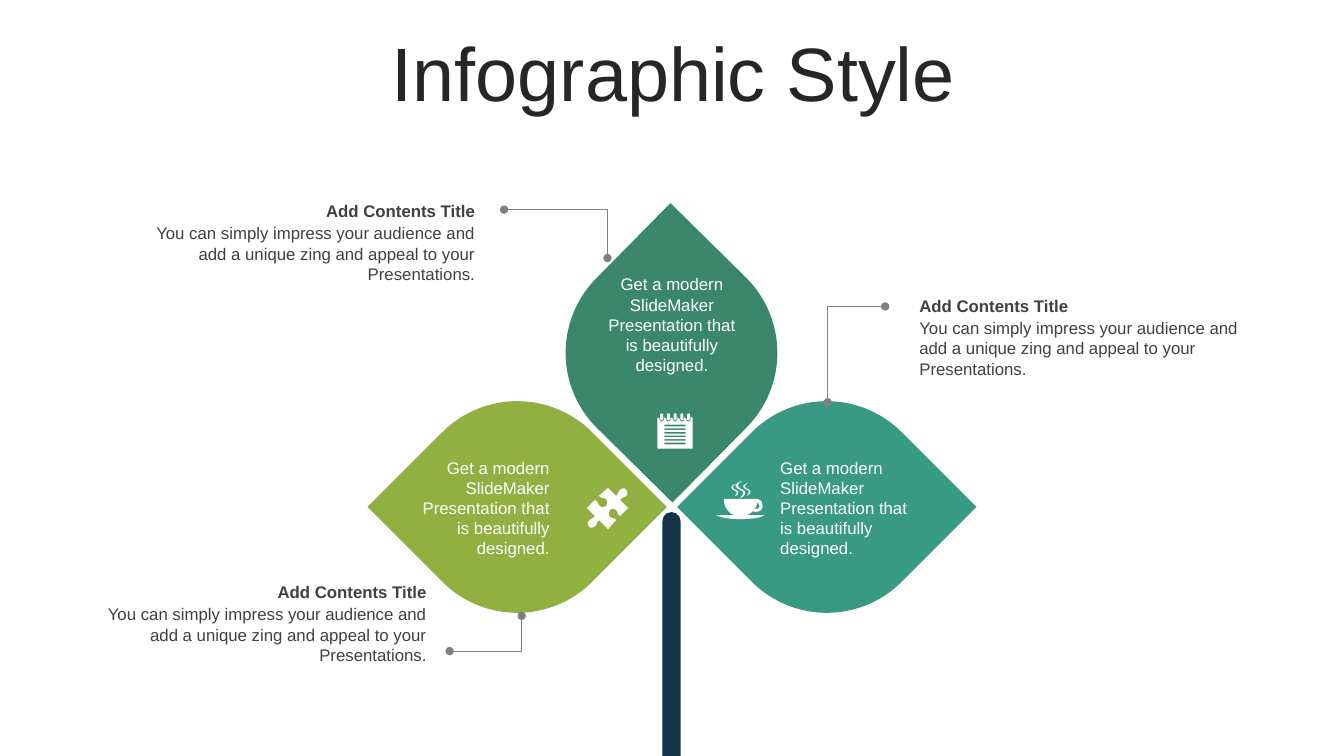
import math
from lxml import etree
from pptx import Presentation
from pptx import util as u
from pptx.dml.color import RGBColor
from pptx.enum import shapes, text
from pptx.oxml.ns import qn

# Grid: 1333 columns by 750 rows
COLS, ROWS = 1333, 750
CELL = u.Inches(0.01)

WHITE = RGBColor(0xFF, 0xFF, 0xFF)
INK = RGBColor(0x26, 0x26, 0x26)
TEXT = RGBColor(0x40, 0x40, 0x40)
GRAY = RGBColor(0x80, 0x80, 0x80)
PINE = RGBColor(0x3A, 0x87, 0x6B)
TEAL = RGBColor(0x39, 0x9A, 0x84)
LIME = RGBColor(0x90, 0xB1, 0x41)
NAVY = RGBColor(0x13, 0x32, 0x46)

LEFT, MID, RIGHT = (text.PP_ALIGN.LEFT, text.PP_ALIGN.CENTER,
                    text.PP_ALIGN.RIGHT)
KIND = shapes.MSO_SHAPE


def grid(*vals):
    return [round(v * CELL) for v in vals]


def apply(item, vals):
    for name, val in vals.items():
        setattr(item, name, val)


def trace(nodes):
    """Points of an outline: a pair is a corner, six numbers are a curve."""
    pts = [nodes[0]]
    for node in nodes[1:]:
        if len(node) == 2:
            pts.append(node)
            continue
        a, b, c, d = pts[-1], node[:2], node[2:4], node[4:]
        for t in (n / 8 for n in range(1, 9)):
            s = 1 - t
            pts.append(tuple(
                s**3 * a[i] + 3 * s * s * t * b[i] + 3 * s * t * t * c[i]
                + t**3 * d[i] for i in (0, 1)))
    return pts


def arc(x, y, rx, ry, start, end, steps=16):
    turns = [math.radians(start + (end - start) * n / steps)
             for n in range(steps + 1)]
    return [(x + rx * math.cos(a), y + ry * math.sin(a)) for a in turns]


class Board:
    font = {"name": "Arial", "size": u.Pt(12), "bold": False}

    def __init__(self, slide):
        self.slide = slide
        self.items = slide.shapes

    def fill_in(self, frame, words, color, align, **more):
        para = frame.paragraphs[0]
        para.text = words
        para.alignment = align
        apply(para.font, {**self.font, **more})
        para.font.color.rgb = color
        return para

    def title(self, words, box):
        head = self.items.title
        apply(head, dict(zip(("left", "top", "width", "height"), grid(*box))))
        apply(head.text_frame, {"auto_size": text.MSO_AUTO_SIZE.NONE,
                                "vertical_anchor": text.MSO_ANCHOR.MIDDLE,
                                "word_wrap": True})
        para = self.fill_in(head.text_frame, words, INK, MID, size=u.Pt(54))
        para.line_spacing = 0.9

    def label(self, words, box, color, align, **more):
        frame = self.items.add_textbox(*grid(*box)).text_frame
        apply(frame, {"word_wrap": True,
                      "auto_size": text.MSO_AUTO_SIZE.SHAPE_TO_FIT_TEXT})
        self.fill_in(frame, words, color, align, **more)

    def paint(self, item, color):
        item.shadow.inherit = False
        item.fill.solid()
        item.fill.fore_color.rgb = color
        item.line.fill.background()

    def shape(self, kind, box, color, turn=0):
        item = self.items.add_shape(kind, *grid(*box))
        item.adjustments[0], item.adjustments[1] = 0.5, 0
        item.rotation = turn
        self.paint(item, color)

    def icon(self, loops):
        loops = [[tuple(grid(*pt)) for pt in loop] for loop in loops]
        pen = self.items.build_freeform(*loops[0][0])
        for n, loop in enumerate(loops):
            if n:
                pen.move_to(*loop[0])
            pen.add_line_segments(loop[1:], close=True)
        self.paint(pen.convert_to_shape(), WHITE)

    def elbow(self, start, end):
        link = self.items.add_connector(
            shapes.MSO_CONNECTOR.ELBOW, *grid(*start, *end))
        link.line.width = u.Pt(0.5)
        link.line.color.rgb = GRAY
        props = link._element.spPr
        # Bend at the far end, with a dot on both ends
        bend = props.find(qn("a:prstGeom")).get_or_add_avLst()
        etree.SubElement(bend, qn("a:gd"), name="adj1", fmla="val 100000")
        for tag in ("a:headEnd", "a:tailEnd"):
            etree.SubElement(props.find(qn("a:ln")), qn(tag), type="oval")
        etree.SubElement(props, qn("a:effectLst"))


def notepad():
    rings = [656.3 + 6.65 * n for n in range(5)]
    page = [(652, 414)]
    for x in rings:
        page += arc(x, 415.5, 2.2, 2.7, 180, 0)
        page.append((x + 2.2, 414))
    page += [(687, 414), (687, 445), (652, 445)]
    lines = [[(659, y), (680, y), (680, y + 1.6), (659, y + 1.6)]
             for y in (421.4 + 3.55 * n for n in range(6))]
    coils = [arc(x, 412, 1.5, 2, 180, 360) + arc(x, 415, 1.5, 2, 0, 180)
             for x in rings]
    return [page] + lines + coils


def puzzle():
    return [trace([
        (621, 486), (622, 487, 623, 490, 621, 492),
        (619, 494, 617, 493, 615, 496), (623, 504), (615, 512),
        (612, 510, 613, 508, 611, 506), (609, 504, 606, 505, 605, 506),
        (604, 508, 603, 510, 605, 513), (608, 515, 608, 513, 611, 516),
        (603, 525), (594, 516), (591, 519, 593, 520, 590, 522),
        (588, 524, 585, 524, 584, 522), (583, 521, 582, 518, 584, 517),
        (586, 514, 588, 515, 590, 512), (582, 504), (590, 496),
        (594, 498, 592, 500, 595, 502), (597, 504, 599, 503, 601, 502),
        (602, 501, 603, 498, 601, 495), (598, 493, 597, 495, 594, 492),
        (603, 484), (611, 492), (614, 489, 612, 489, 615, 486),
        (617, 484, 620, 484, 621, 486)])]


def cup():
    hole = trace([
        (751, 498), (751, 501, 750, 503, 749, 504),
        (749, 505, 751, 505, 751, 505), (753, 504, 754, 502, 753, 501),
        (753, 500, 752, 499, 751, 498)])
    bowl = trace([
        (751, 495), (754, 496, 756, 497, 756, 500),
        (757, 503, 756, 506, 753, 507), (751, 508, 748, 508, 747, 507),
        (746, 508, 744, 509, 743, 510), (742, 510, 741, 511, 740, 511),
        (758, 511), (757, 513, 747, 515, 735, 515),
        (722, 515, 712, 513, 711, 511), (729, 511),
        (728, 511, 727, 510, 726, 510), (721, 507, 718, 501, 718, 495)])
    steam = trace([
        (0, 0), (-2, 2, -4, 2, -4, 5), (-3, 9, 4, 8, 3, 13),
        (2, 15, 1, 16, -2, 17), (0, 15, 1, 14, 1, 12),
        (1, 9, -4, 9, -6, 6), (-7, 4, -5, 2, 0, 0)])
    puffs = [[(x + size * px, y + size * py) for px, py in steam]
             for x, y, size in ((730, 480, 0.73), (742, 479, 0.75),
                                (736, 477, 1))]
    return [bowl, hole] + puffs


def main():
    deck = Presentation()
    deck.slide_width, deck.slide_height = grid(COLS, ROWS)
    board = Board(deck.slides.add_slide(deck.slide_layouts[5]))
    board.title("Infographic Style", (35, 37, 1266, 79))

    # Petals, their words and the stem
    side = 210
    blurb = ("Get a modern SlideMaker Presentation that "
             "is beautifully designed.")
    petals = [(561, 245, -45.4, PINE, 588, 267, MID),
              (715, 398, 45, TEAL, 764, 449, LEFT),
              (408, 398, 45, LIME, 398, 449, RIGHT)]
    for x, y, turn, color, left, top, align in petals:
        board.shape(KIND.ROUND_2_DIAG_RECTANGLE, (x, y, side, side),
                    color, turn)
        board.label(blurb, (left, top, 157, 111), WHITE, align)
    board.shape(KIND.ROUND_2_SAME_RECTANGLE, (657, 508, 18, 242), NAVY)

    # Callouts with their leader lines
    note = ("You can simply impress your audience and add a unique zing "
            "and appeal to your Presentations.")
    calls = [(902, 288, 340, LEFT, (878, 304), (821, 399)),
             (81, 572, 352, RIGHT, (446, 646), (517.5, 611)),
             (129, 194, 352, RIGHT, (500, 208), (602.5, 256))]
    for x, y, wide, align, start, end in calls:
        board.elbow(start, end)
        board.label(note, (x, y + 22.5, wide, 71), TEXT, align)
        board.label("Add Contents Title", (x, y, wide, 30), TEXT, align,
                    bold=True)

    # Icons
    for draw in (notepad, puzzle, cup):
        board.icon(draw())

    deck.save("out.pptx")


if __name__ == "__main__":
    main()
